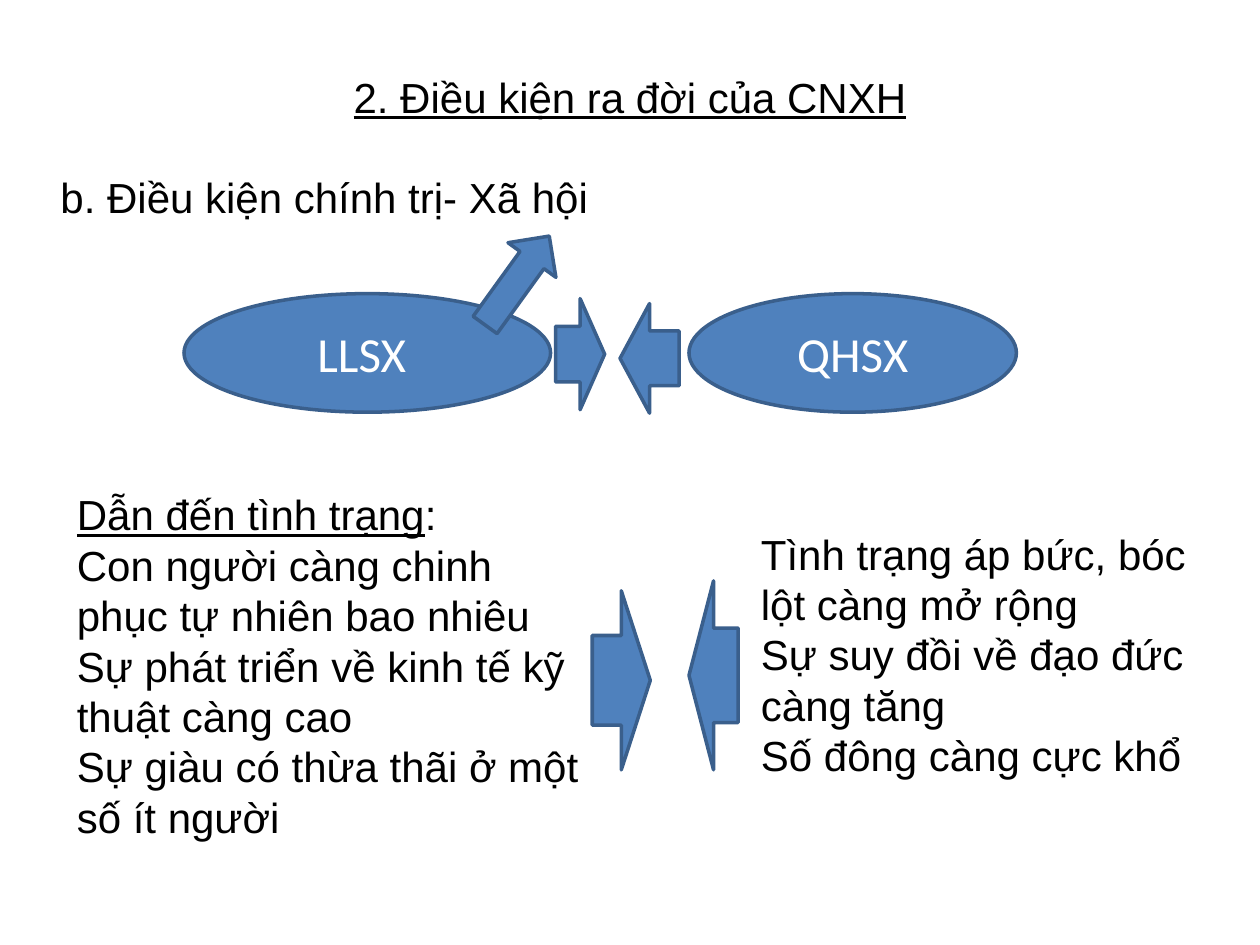
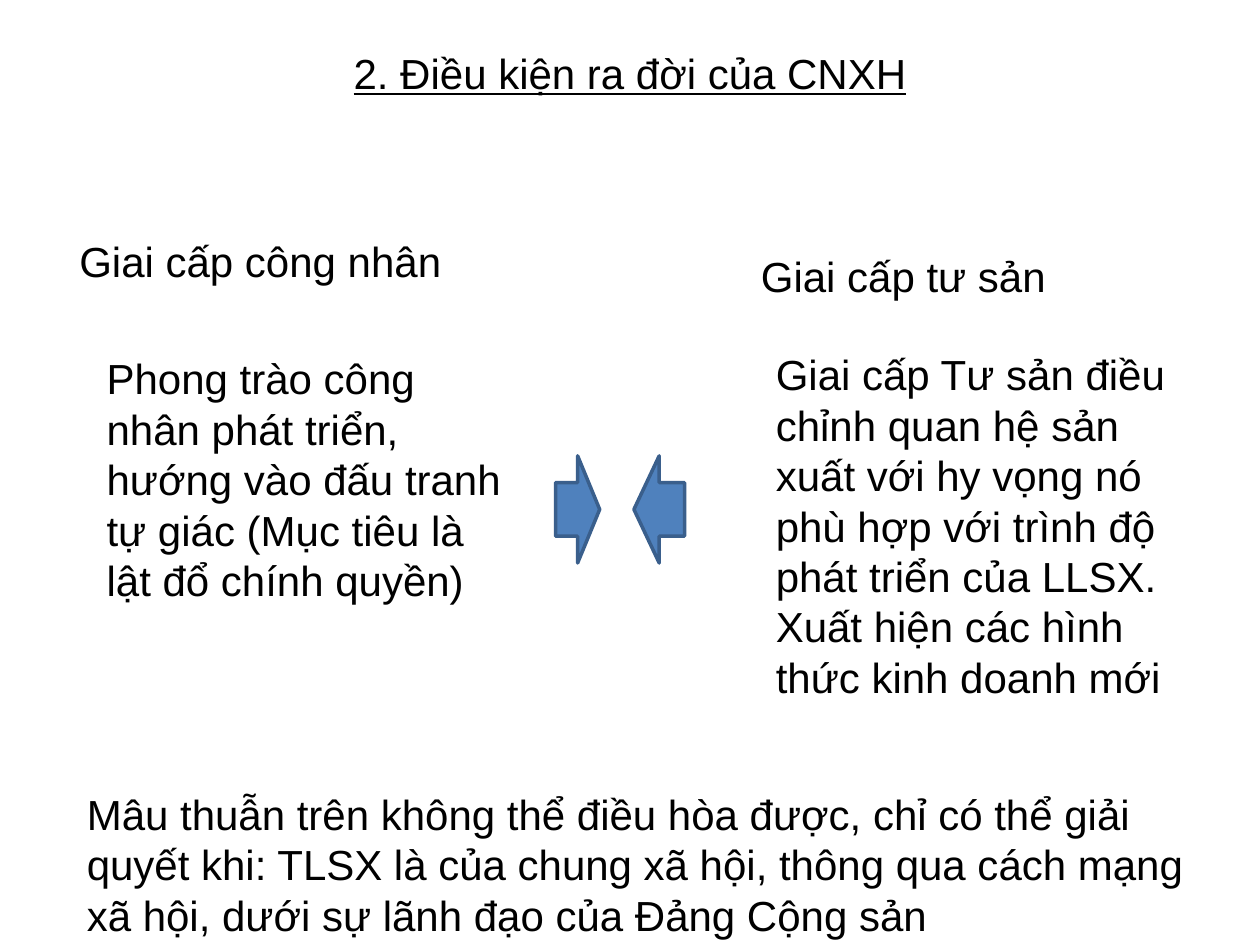
from pptx import Presentation
from pptx.dml.color import RGBColor
from pptx.enum.shapes import MSO_SHAPE
from pptx.enum.text import MSO_ANCHOR, PP_ALIGN
from pptx.util import Cm, Pt

BLUE, OUTLINE, BLACK, WHITE = "4F81BD", "3A5F8C", "000000", "FFFFFF"
BODY = {"name": "Arial", "size": Pt(24)}
UNDERLINED = {**BODY, "underline": True}
LABEL = {"name": "Calibri", "size": Pt(28)}
TITLE = "2. Điều kiện ra đời của CNXH"


def rgb(value):
    """Turn a hex string into a colour."""
    return RGBColor.from_string(value)


def within(box, part):
    """Move a part, given relative to a box, to its place on the slide."""
    return box[0] + part[0], box[1] + part[1], part[2], part[3]


def add_run(p, text, fmt, color=BLACK):
    """Add a run with the given font values."""
    r = p.add_run()
    r.text = text
    for name, value in fmt.items():
        setattr(r.font, name, value)
    r.font.color.rgb = rgb(color)


def add_text(s, box, paragraphs):
    """Add a wrapped text box; each paragraph is a list of (text, format) runs."""
    tf = s.shapes.add_textbox(*map(Cm, box)).text_frame
    tf.word_wrap = True
    for i, runs in enumerate(paragraphs):
        p = tf.paragraphs[0] if i == 0 else tf.add_paragraph()
        for text, fmt in runs:
            add_run(p, text, fmt)
    return tf


def plain(*lines):
    """Make one body paragraph from each line."""
    return [[(line, BODY)] for line in lines]


def add_shape(s, kind, box, rotation=0):
    """Add a blue outlined shape."""
    sp = s.shapes.add_shape(kind, *map(Cm, box))
    sp.shadow.inherit = False
    sp.rotation = rotation
    sp.fill.solid()
    sp.fill.fore_color.rgb = rgb(BLUE)
    sp.line.color.rgb = rgb(OUTLINE)
    sp.line.width = Pt(2)
    return sp


def add_title(s, box):
    """Add the underlined, centred title."""
    tf = add_text(s, box, [[(TITLE, UNDERLINED)]])
    tf.vertical_anchor = MSO_ANCHOR.MIDDLE
    tf.paragraphs[0].alignment = PP_ALIGN.CENTER


def add_oval(s, box, text):
    """Add an ellipse with a centred label."""
    tf = add_shape(s, MSO_SHAPE.OVAL, box).text_frame
    tf.vertical_anchor = MSO_ANCHOR.MIDDLE
    p = tf.paragraphs[0]
    p.alignment = PP_ALIGN.CENTER
    add_run(p, text, LABEL, WHITE)


def add_clash(s, box, right, left):
    """Add two arrows that point at each other."""
    for kind, part in ((MSO_SHAPE.RIGHT_ARROW, right), (MSO_SHAPE.LEFT_ARROW, left)):
        add_shape(s, kind, within(box, part))


def add_forces(s, box):
    """Add the two opposed ovals and the rising arrow."""
    add_oval(s, within(box, (0, 1.37, 7.39, 2.39)), "LLSX ")
    add_oval(s, within(box, (10.18, 1.37, 6.6, 2.39)), "QHSX")
    add_clash(s, box, (7.49, 1.47, 0.99, 2.24), (8.79, 1.57, 1.19, 2.21))
    add_shape(s, MSO_SHAPE.DOWN_ARROW, within(box, (6.12, 0, 1.19, 2.21)), 215.8)


def add_results(s, box):
    """Add the two columns of results with arrows between them."""
    lead = [("Dẫn đến tình trạng", UNDERLINED), (":", BODY)]
    add_text(s, within(box, (0, 0, 10.9, 7.44)), [lead] + plain(
        "Con người càng chinh phục tự nhiên bao nhiêu",
        "Sự phát triển về kinh tế kỹ thuật càng cao",
        "Sự giàu có thừa thãi ở một số ít người"))
    add_text(s, within(box, (13.79, 0.79, 10.01, 5.38)), plain(
        "Tình trạng áp bức, bóc lột càng mở rộng",
        "Sự suy đồi về đạo đức càng tăng",
        "Số đông càng cực khổ"))
    add_clash(s, box, (10.64, 2.18, 1.17, 3.61), (12.59, 1.98, 0.99, 3.81))


def add_classes(s, box):
    """Add the two social classes, what each does, and arrows between them."""
    add_text(s, within(box, (0, 0, 10.01, 1.27)), plain("Giai cấp công nhân"))
    add_text(s, within(box, (13.74, 0.31, 8.61, 1.27)), plain("Giai cấp tư sản"))
    add_text(s, within(box, (0.55, 2.37, 8.61, 5.38)), plain(
        "Phong trào công nhân phát triển, hướng vào đấu tranh tự giác "
        "(Mục tiêu là lật đổ chính quyền)"))
    add_text(s, within(box, (14.04, 2.29, 9.19, 7.44)), plain(
        "Giai cấp Tư sản điều chỉnh quan hệ sản xuất với hy vọng nó "
        "phù hợp với trình độ phát triển của LLSX.",
        "Xuất hiện các hình thức kinh doanh mới"))
    add_clash(s, box, (9.85, 4.57, 0.89, 2.16), (11.43, 4.57, 1.02, 2.16))


def build_conditions(s):
    """Build the slide on political and social conditions."""
    add_title(s, (1.27, 0.76, 22.86, 2.36))
    add_text(s, (0.97, 3.33, 11.84, 1.27), plain("b. Điều kiện chính trị- Xã hội"))
    add_forces(s, (3.71, 4.55))
    add_results(s, (1.3, 9.73))


def build_class_conflict(s):
    """Build the slide on the conflict between classes."""
    add_title(s, (1.27, 0.28, 22.86, 2.36))
    add_classes(s, (1.35, 4.62))
    add_text(s, (1.5, 15.77, 23.01, 3.33), plain(
        "Mâu thuẫn trên không thể điều hòa được, chỉ có thể giải quyết khi: "
        "TLSX là của chung xã hội, thông qua cách mạng xã hội, "
        "dưới sự lãnh đạo của Đảng Cộng sản"))


def main():
    """Build and save the slides."""
    prs = Presentation()
    prs.slide_width, prs.slide_height = Cm(25.4), Cm(19.05)
    for build in (build_conditions, build_class_conflict):
        build(prs.slides.add_slide(prs.slide_layouts[6]))
    prs.save("out.pptx")


if __name__ == "__main__":
    main()
